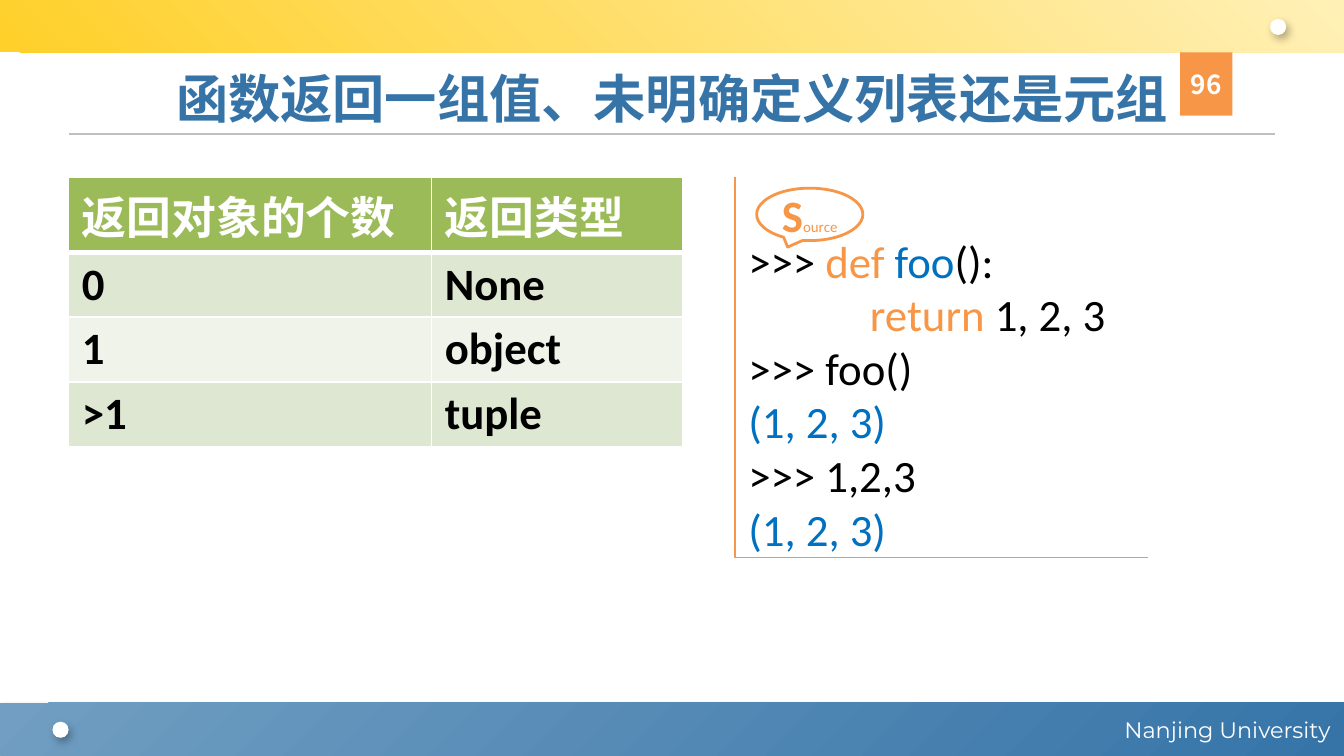
from lxml import etree
from pptx import Presentation
from pptx.dml.color import RGBColor
from pptx.enum.shapes import MSO_CONNECTOR, MSO_SHAPE
from pptx.enum.text import MSO_ANCHOR, PP_ALIGN
from pptx.oxml.ns import qn
from pptx.util import Inches, Pt

RECT, OVAL = MSO_SHAPE.RECTANGLE, MSO_SHAPE.OVAL
BUBBLE = MSO_SHAPE.OVAL_CALLOUT
STRAIGHT = MSO_CONNECTOR.STRAIGHT
MIDDLE, BOTTOM = MSO_ANCHOR.MIDDLE, MSO_ANCHOR.BOTTOM
LEFT, CENTER, RIGHT = PP_ALIGN.LEFT, PP_ALIGN.CENTER, PP_ALIGN.RIGHT

WHITE = RGBColor(0xFF, 0xFF, 0xFF)
BLACK = RGBColor(0, 0, 0)
GRAY = RGBColor(0xBF, 0xBF, 0xBF)
NAVY = RGBColor(0x36, 0x74, 0xA8)
SKY = RGBColor(0x71, 0x9E, 0xC2)
GOLD = RGBColor(0xFF, 0xD0, 0x2A)
CREAM = RGBColor(0xFF, 0xF0, 0xB6)
ORANGE = RGBColor(0xF7, 0x96, 0x46)
BLUE = RGBColor(0x00, 0x70, 0xC0)
GREEN = RGBColor(0x9B, 0xBB, 0x59)
BANDS = (RGBColor(0xEF, 0xF3, 0xEA), RGBColor(0xDE, 0xE7, 0xD1))

HAN, LATIN = "Noto Sans CJK SC", "Calibri"
CODE = [
    [(">>> ", BLACK), ("def ", ORANGE), ("foo", BLUE), ("():", BLACK)],
    [("            return ", ORANGE), ("1, 2, 3", BLACK)],
    [(">>> foo()", BLACK)],
    [("(1, 2, 3)", BLUE)],
    [(">>> 1,2,3", BLACK)],
    [("(1, 2, 3)", BLUE)],
]
ROWS = [("返回对象的个数", "返回类型"), ("0", "None"), ("1", "object"), (">1", "tuple")]


def box(left, top, width, height):
    return [Inches(v) for v in (left, top, width, height)]


def set_all(item, **values):
    for key, value in values.items():
        setattr(item, key, value)


def add_run(para, text, size, color, name=LATIN, bold=False):
    run = para.add_run()
    run.text = text
    set_all(run.font, size=Pt(size), name=name, bold=bold)
    run.font.color.rgb = color
    east = etree.SubElement(run._r.get_or_add_rPr(), qn("a:ea"))
    east.set("typeface", name)


def set_frame(frame, anchor=MIDDLE, side=0.1, end=0.05):
    set_all(frame, word_wrap=True, vertical_anchor=anchor,
            margin_left=Inches(side), margin_right=Inches(side),
            margin_top=Inches(end), margin_bottom=Inches(end))


def add_shape(slide, kind, place, fill=None, line=None):
    shape = slide.shapes.add_shape(kind, *box(*place))
    shape.shadow.inherit = False
    if fill is not None:
        shape.fill.solid()
        shape.fill.fore_color.rgb = fill
    if line is None:
        shape.line.fill.background()
    else:
        shape.line.color.rgb = line
        shape.line.width = Pt(1.5)
    set_frame(shape.text_frame, side=0)
    shape.text_frame.paragraphs[0].alignment = CENTER
    return shape


def cast(shape, alpha, blur, dist, angle):
    """Give a shape a black outer shadow; alpha in percent, angle clockwise."""
    effects = shape._element.spPr.find(qn("a:effectLst"))
    shadow = etree.SubElement(effects, qn("a:outerShdw"), blurRad=str(Pt(blur)),
                              dist=str(Pt(dist)), dir=str(angle * 60000),
                              algn="ctr", rotWithShape="0")
    color = etree.SubElement(shadow, qn("a:srgbClr"), val=str(BLACK))
    etree.SubElement(color, qn("a:alpha"), val=str(alpha * 1000))


def add_band(slide, top, colors, angle):
    band = add_shape(slide, RECT, (0, top, 10, 0.39))
    band.fill.gradient()
    band.fill.gradient_angle = angle
    for stop, color in zip(band.fill.gradient_stops, colors):
        stop.color.rgb = color
    return band


def add_rule(slide):
    rule = slide.shapes.add_connector(STRAIGHT, *box(0.51, 1, 9.49, 1))
    rule.line.color.rgb = GRAY
    rule.line.width = Pt(1)
    etree.SubElement(rule._element.spPr, qn("a:effectLst"))


def add_title(slide, text):
    title = slide.shapes.title
    places = zip(("left", "top", "width", "height"), box(0.5, 0.45, 9, 0.55))
    set_all(title, **dict(places))
    set_frame(title.text_frame)
    para = title.text_frame.paragraphs[0]
    para.alignment = CENTER
    add_run(para, text, 28, NAVY, HAN, True)


def add_code(slide):
    build = slide.shapes.build_freeform(Inches(5.47), Inches(1.32))
    build.add_line_segments([(Inches(5.47), Inches(4.15)), (Inches(8.54), Inches(4.15))],
                            close=False)
    panel = build.convert_to_shape()
    panel.shadow.inherit = False
    panel.fill.background()
    panel.line.color.rgb = ORANGE
    panel.line.width = Pt(0.75)
    frame = panel.text_frame
    set_frame(frame, BOTTOM, end=0.02)
    for i, parts in enumerate(CODE):
        para = frame.add_paragraph() if i else frame.paragraphs[0]
        set_all(para, alignment=LEFT, line_spacing=Pt(28.7))
        for text, color in parts:
            add_run(para, text, 24, color)


def add_edges(cell, **widths):
    for side, width in widths.items():
        edge = etree.SubElement(cell._tc.get_or_add_tcPr(), qn("a:ln" + side),
                                w=str(Pt(width)))
        fill = etree.SubElement(edge, qn("a:solidFill"))
        etree.SubElement(fill, qn("a:srgbClr"), val=str(WHITE))


def add_table(slide):
    table = slide.shapes.add_table(len(ROWS), 2, *box(0.51, 1.32, 4.57, 1.9)).table
    for col, width in zip(table.columns, (2.7, 1.87)):
        col.width = Inches(width)
    for i, texts in enumerate(ROWS):
        head = i == 0
        table.rows[i].height = Inches(0.33)
        for j, text in enumerate(texts):
            cell = table.cell(i, j)
            set_all(cell, margin_top=Pt(2.7), margin_bottom=Pt(2.7))
            add_edges(cell, L=1, R=1, T=3 if i == 1 else 1, B=3 if head else 1)
            cell.fill.solid()
            cell.fill.fore_color.rgb = GREEN if head else BANDS[i % 2]
            add_run(cell.text_frame.paragraphs[0], text, 24,
                    WHITE if head else BLACK, HAN if head else LATIN, True)


def main():
    deck = Presentation()
    wide = Inches(10)
    set_all(deck, slide_width=wide, slide_height=wide * 9 // 16)
    slide = deck.slides.add_slide(deck.slide_layouts[5])

    footer = add_band(slide, 5.23, (SKY, NAVY), 315)
    cast(footer, 38, 3.1, 1.6, 90)
    set_frame(footer.text_frame)
    para = footer.text_frame.paragraphs[0]
    para.alignment = RIGHT
    add_run(para, "Nanjing University", 12, WHITE, "Montserrat")
    add_band(slide, 0, (GOLD, CREAM), 45)
    for left, top in ((9.45, 0.14), (0.39, 5.37)):
        cast(add_shape(slide, OVAL, (left, top, 0.12, 0.12), WHITE), 30, 4.5, 2.6, 53)

    add_rule(slide)
    add_title(slide, "函数返回一组值、未明确定义列表还是元组")
    add_code(slide)
    source = add_shape(slide, BUBBLE, (5.63, 1.4, 0.79, 0.39), WHITE, ORANGE)
    para = source.text_frame.paragraphs[0]
    add_run(para, "S", 24, ORANGE, bold=True)
    add_run(para, "ource", 8, ORANGE)
    add_table(slide)
    number = add_shape(slide, RECT, (8.78, 0.39, 0.39, 0.47), ORANGE)
    add_run(number.text_frame.paragraphs[0], "96", 14, WHITE, HAN, True)
    deck.save("out.pptx")


if __name__ == "__main__":
    main()
